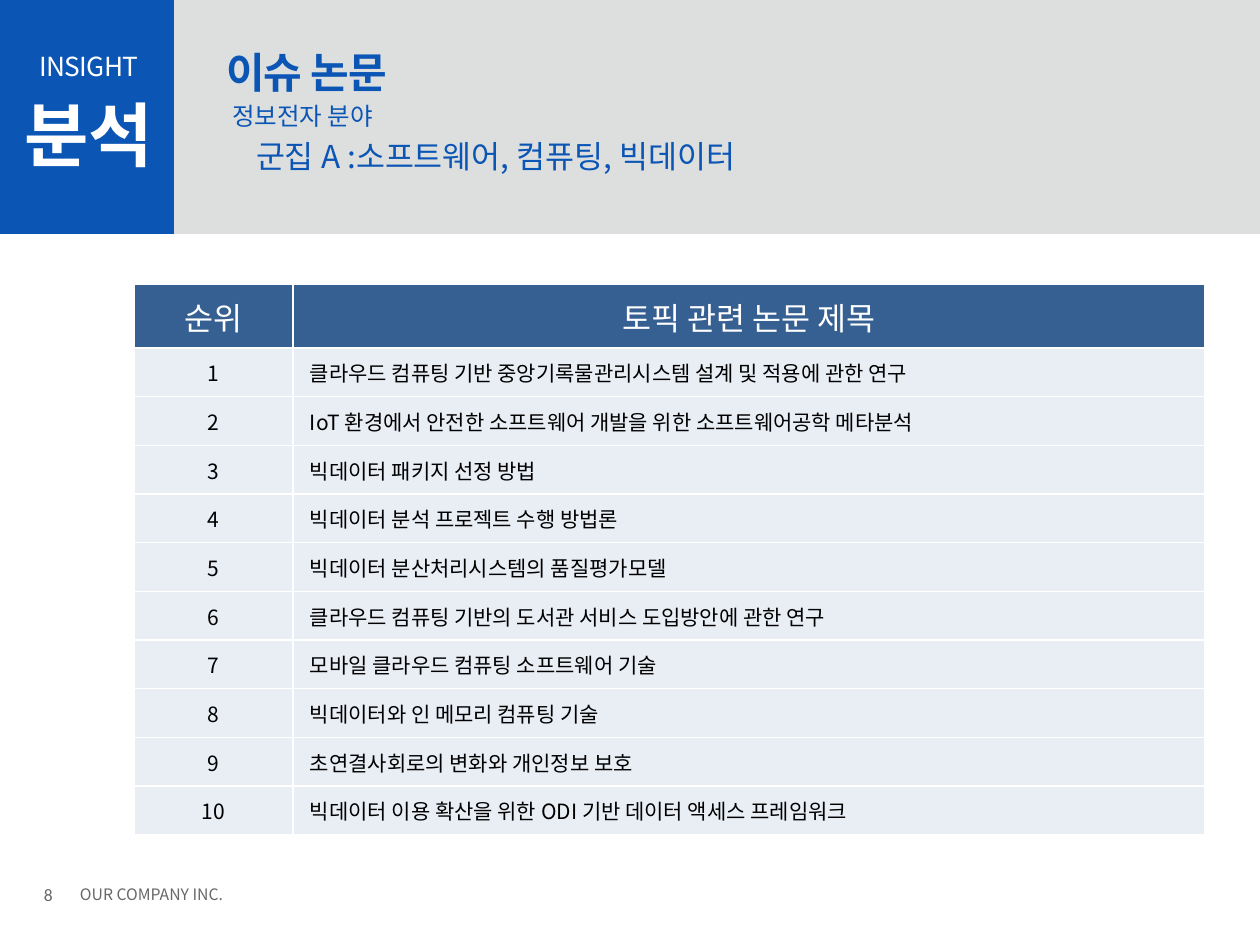
from lxml import etree
from pptx import Presentation
from pptx import util as u
from pptx.dml import color
from pptx.enum import shapes, text
from pptx.oxml import ns

COLORS = {
    "blue": "0B55B5",
    "band": "DDDFDF",
    "header": "376092",
    "row": "E9EDF4",
    "white": "FFFFFF",
    "black": "000000",
    "gray": "686868",
}
PAPERS = [
    "클라우드 컴퓨팅 기반 중앙기록물관리시스템 설계 및 적용에 관한 연구",
    "IoT 환경에서 안전한 소프트웨어 개발을 위한 소프트웨어공학 메타분석",
    "빅데이터 패키지 선정 방법",
    "빅데이터 분석 프로젝트 수행 방법론",
    "빅데이터 분산처리시스템의 품질평가모델",
    "클라우드 컴퓨팅 기반의 도서관 서비스 도입방안에 관한 연구",
    "모바일 클라우드 컴퓨팅 소프트웨어 기술",
    "빅데이터와 인 메모리 컴퓨팅 기술",
    "초연결사회로의 변화와 개인정보 보호",
    "빅데이터 이용 확산을 위한 ODI 기반 데이터 액세스 프레임워크",
]
LEFT, CENTER = text.PP_ALIGN.LEFT, text.PP_ALIGN.CENTER
TOP, MIDDLE = text.MSO_ANCHOR.TOP, text.MSO_ANCHOR.MIDDLE


def px(length):
    return u.Emu(round(length * 914400 / 126))


def rgb(name):
    return color.RGBColor.from_string(COLORS[name])


def assign(target, values):
    for key, value in values.items():
        setattr(target, key, value)


class InsightSlide:
    font = "Noto Sans CJK KR"

    def __init__(self, slide):
        self.slide = slide

    def words(self, frame, wording, size, tone, align=LEFT, bold=False, spacing=0, font=None):
        paragraph = frame.paragraphs[0]
        paragraph.alignment = align
        run = paragraph.add_run()
        run.text = wording
        face = font or self.font
        assign(run.font, {"name": face, "size": u.Pt(size), "bold": bold})
        run.font.color.rgb = rgb(tone)
        properties = run.font._element
        etree.SubElement(properties, ns.qn("a:ea"), typeface=face)
        if spacing:
            properties.set("spc", str(spacing))

    def block(self, box, tone):
        panel = self.slide.shapes.add_shape(shapes.MSO_SHAPE.RECTANGLE, *map(px, box))
        panel.shadow.inherit = False
        panel.fill.solid()
        panel.fill.fore_color.rgb = rgb(tone)
        panel.line.fill.background()

    def frame(self, holder, insets, anchor, wrap):
        left, top, right, bottom = map(px, insets)
        assign(holder.text_frame, {
            "margin_left": left, "margin_top": top,
            "margin_right": right, "margin_bottom": bottom,
            "vertical_anchor": anchor, "word_wrap": wrap,
            "auto_size": text.MSO_AUTO_SIZE.NONE,
        })
        return holder.text_frame

    def label(self, box, wording, size, tone, insets=(0, 0, 0, 0), anchor=MIDDLE, wrap=True, **style):
        holder = self.slide.shapes.add_textbox(*map(px, box))
        self.words(self.frame(holder, insets, anchor, wrap), wording, size, tone, **style)

    def title(self, box, wording, size, tone, **style):
        heading = self.slide.shapes.title
        assign(heading, dict(zip(("left", "top", "width", "height"), map(px, box))))
        self.words(self.frame(heading, (0, 0, 0, 0), TOP, True), wording, size, tone, **style)
        heading.element.getparent().append(heading.element)

    def cell(self, cell, wording, size, tone, fill, align=CENTER, indent=1):
        assign(cell, {
            "margin_left": px(indent), "margin_top": px(1),
            "margin_right": px(1), "margin_bottom": 0,
            "vertical_anchor": MIDDLE,
        })
        self.words(cell.text_frame, wording, size, tone, align)
        properties = cell._tc.get_or_add_tcPr()
        for side in ("lnL", "lnR", "lnT", "lnB"):
            border = etree.SubElement(properties, ns.qn(f"a:{side}"), w=str(u.Pt(1)))
            solid = etree.SubElement(border, ns.qn("a:solidFill"))
            etree.SubElement(solid, ns.qn("a:srgbClr"), val=COLORS["white"])
        cell.fill.solid()
        cell.fill.fore_color.rgb = rgb(fill)

    def ranking(self, box, columns, header_height, headers, papers):
        table = self.slide.shapes.add_table(len(papers) + 1, 2, *map(px, box)).table
        row_height = (box[3] - header_height) / len(papers)
        for column, width in zip(table.columns, columns):
            column.width = px(width)
        for index, row in enumerate(table.rows):
            row.height = px(row_height if index else header_height)
        for index, header in enumerate(headers):
            self.cell(table.cell(0, index), header, 18, "white", "header")
        for rank, paper in enumerate(papers, 1):
            self.cell(table.cell(rank, 0), str(rank), 12, "black", "row")
            self.cell(table.cell(rank, 1), paper, 12, "black", "row", LEFT, 17)


def main():
    deck = Presentation()
    assign(deck, {"slide_width": px(1260), "slide_height": px(945)})
    page = InsightSlide(deck.slides.add_slide(deck.slide_layouts[5]))
    inset = (13, 6, 13, 6)

    page.label((44, 882, 66, 25), "8", 10, "gray", font="Calibri")
    page.label((67, 878, 238, 32), "OUR COMPANY INC.", 9, "gray", inset)
    page.block((0, 0, 1260, 234), "band")
    page.block((0, 0, 174, 234), "blue")
    page.label((2, 44, 174, 44), "INSIGHT", 15, "white", inset, align=CENTER, spacing=-30)
    page.label((226, 101, 979, 30), "정보전자 분야", 14, "blue", (6, 0, 0, 0), TOP)
    page.label((2, 78, 174, 112), "분석", 40, "white", align=CENTER, bold=True)
    page.title((226, 47, 979, 53), "이슈 논문", 24, "blue", bold=True, spacing=-40)
    page.ranking((134, 284, 1071, 551), (159, 912), 64,
                 ("순위", "토픽 관련 논문 제목"), PAPERS)
    page.label((243, 131, 558, 50), "군집 A :소프트웨어, 컴퓨팅, 빅데이터", 18, "blue",
               inset, TOP, False)
    deck.save("out.pptx")


if __name__ == "__main__":
    main()
